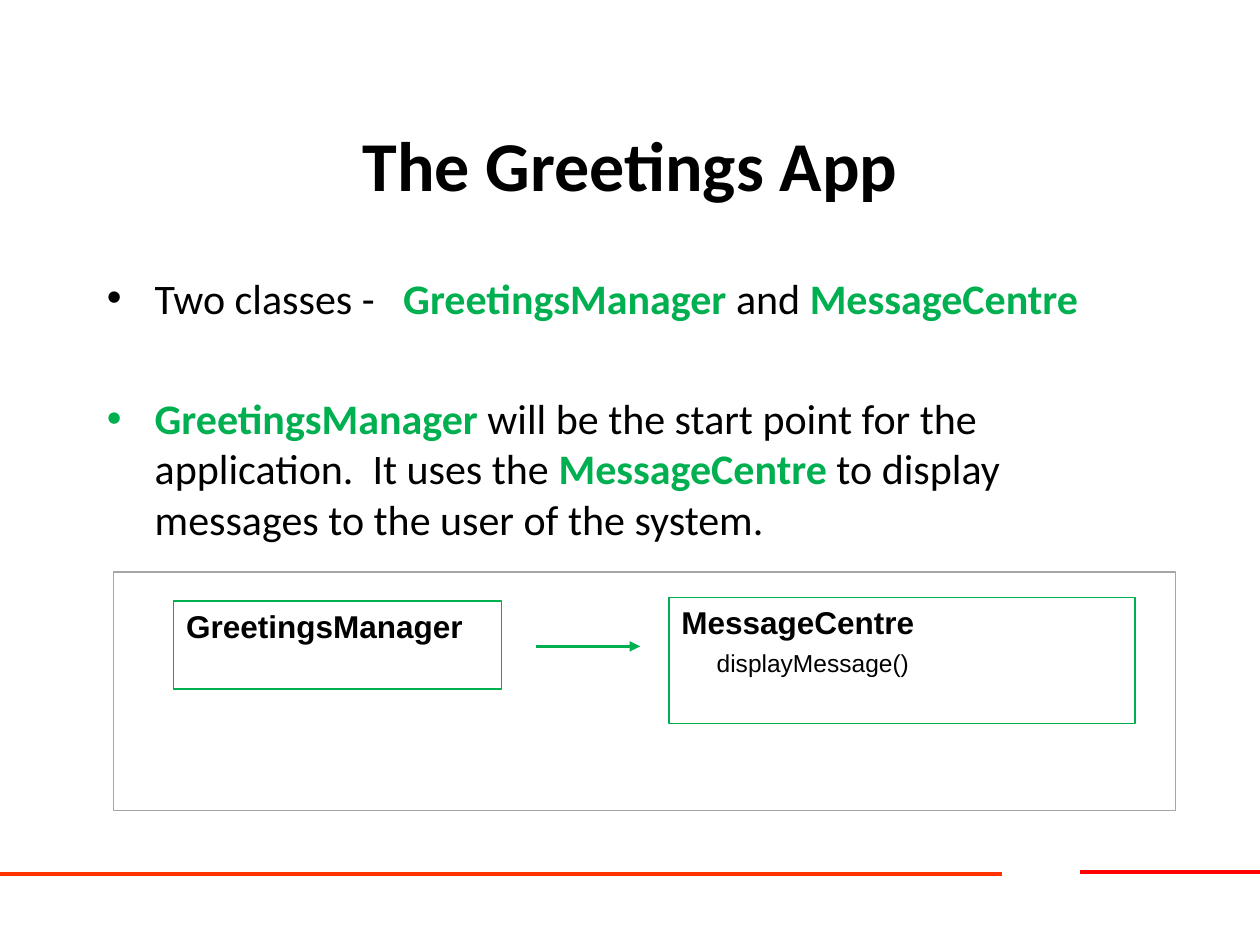
from lxml import etree
from pptx import Presentation
from pptx.dml.color import RGBColor
from pptx.enum.shapes import MSO_CONNECTOR, MSO_SHAPE
from pptx.enum.text import MSO_ANCHOR, PP_ALIGN
from pptx.oxml.ns import qn
from pptx.util import Inches, Pt

STRAIGHT = MSO_CONNECTOR.STRAIGHT
RECTANGLE = MSO_SHAPE.RECTANGLE
TOP, MIDDLE = MSO_ANCHOR.TOP, MSO_ANCHOR.MIDDLE
LEFT, CENTER = PP_ALIGN.LEFT, PP_ALIGN.CENTER
BLACK, GREEN, GREY = "000000", "00B050", "A6A6A6"


def rgb(value):
    return RGBColor.from_string(value)


def add_run(p, text, size, font="Calibri", color=BLACK, bold=False):
    r = p.add_run()
    r.text = text
    r.font.size = Pt(size)
    r.font.name = font
    r.font.bold = bold
    r.font.color.rgb = rgb(color)


def add_line(s, x1, y1, x2, y2, color, width, arrow=False):
    line = s.shapes.add_connector(
        STRAIGHT, Inches(x1), Inches(y1), Inches(x2), Inches(y2))
    line.line.color.rgb = rgb(color)
    line.line.width = Pt(width)
    if arrow:
        ln = line.line._get_or_add_ln()
        etree.SubElement(ln, qn("a:tailEnd"), type="triangle")
    etree.SubElement(line._element.spPr, qn("a:effectLst"))


def add_frame(s, x, y, w, h, color):
    sp = s.shapes.add_shape(
        RECTANGLE, Inches(x), Inches(y), Inches(w), Inches(h))
    sp.shadow.inherit = False
    sp.fill.background()
    sp.line.color.rgb = rgb(color)
    sp.line.width = Pt(0.75)
    return sp


def add_text_box(s, x, y, w, h, anchor):
    tf = s.shapes.add_textbox(
        Inches(x), Inches(y), Inches(w), Inches(h)).text_frame
    tf.word_wrap = True
    tf.vertical_anchor = anchor
    return tf


def set_bullet(p, color):
    """Give the paragraph a hanging bullet of the given colour."""
    pPr = p._p.get_or_add_pPr()
    pPr.set("marL", str(Inches(0.38)))
    pPr.set("indent", str(-Inches(0.38)))
    bu_color = etree.SubElement(pPr, qn("a:buClr"))
    etree.SubElement(bu_color, qn("a:srgbClr"), val=color)
    etree.SubElement(pPr, qn("a:buFont"), typeface="Arial")
    etree.SubElement(pPr, qn("a:buChar"), char="•")


def add_title(s, x, y, w, h):
    p = add_text_box(s, x, y, w, h, MIDDLE).paragraphs[0]
    p.alignment = CENTER
    add_run(p, "The Greetings App", 40, bold=True)


def add_bullets(s, x, y, w, h):
    """Place the bullets; class names are green and bold."""
    bullets = [
        (6, [("Two classes -   ", BLACK), ("GreetingsManager ", GREEN),
             ("and ", BLACK), ("MessageCentre", GREEN)]),
        (40, [("GreetingsManager ", GREEN),
              ("will be the start point for the application.  It uses the ",
               BLACK),
              ("MessageCentre ", GREEN),
              ("to display messages to the user of the system.", BLACK)]),
    ]
    tf = add_text_box(s, x, y, w, h, TOP)
    for i, (gap, runs) in enumerate(bullets):
        p = tf.add_paragraph() if i else tf.paragraphs[0]
        p.space_before = Pt(gap)
        set_bullet(p, runs[0][1])
        for text, color in runs:
            add_run(p, text, 24, color=color, bold=color == GREEN)


def add_class_box(s, x, y, w, h, name, methods=()):
    tf = add_frame(s, x, y, w, h, GREEN).text_frame
    tf.word_wrap = True
    tf.vertical_anchor = TOP
    p = tf.paragraphs[0]
    p.alignment = LEFT
    add_run(p, name, 18, "Arial", bold=True)
    for method in methods:
        p = tf.add_paragraph()
        p.alignment = LEFT
        p.space_before = Pt(4)
        p._p.get_or_add_pPr().set("marL", str(Inches(0.28)))
        add_run(p, method, 14, "Arial")


def add_class_diagram(s, x, y, w, h):
    add_class_box(s, x + 0.48, y + 0.23, 2.6, 0.7, "GreetingsManager")
    add_class_box(s, x + 4.41, y + 0.2, 3.7, 1, "MessageCentre",
                  ["displayMessage()"])
    add_frame(s, x, y, w, h, GREY)
    add_line(s, x + 3.35, y + 0.59, x + 4.18, y + 0.59, GREEN, 2, arrow=True)


def add_footer_rules(s):
    add_line(s, 8.57, 6.92, 10, 6.92, "FF0000", 2.25)
    add_line(s, 0, 6.94, 7.95, 6.94, "FF3300", 2.25)


def main():
    prs = Presentation()
    prs.slide_width, prs.slide_height = Inches(10), Inches(7.5)
    s = prs.slides.add_slide(prs.slide_layouts[6])
    add_footer_rules(s)
    add_title(s, 0.75, 0.67, 8.5, 1.25)
    add_bullets(s, 0.75, 2.11, 8.5, 2.66)
    add_class_diagram(s, 0.9, 4.54, 8.43, 1.89)
    prs.save("out.pptx")


if __name__ == "__main__":
    main()
